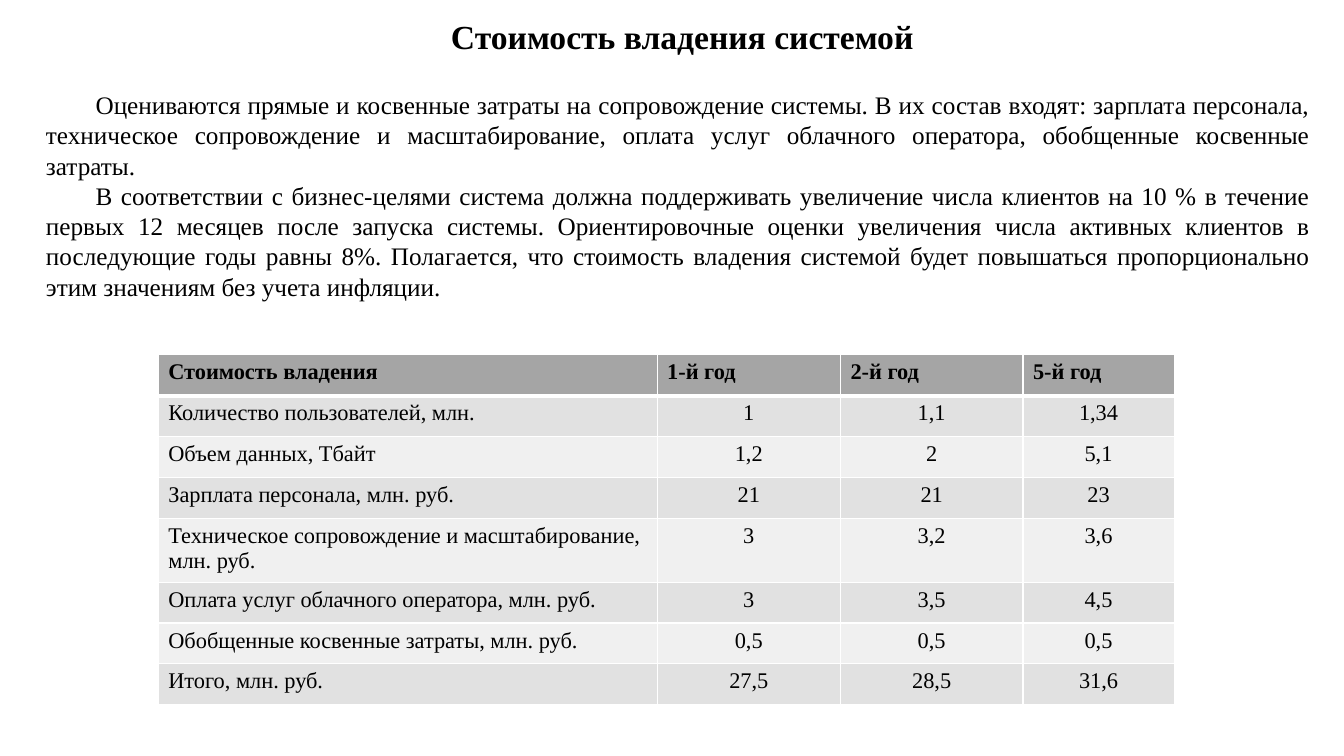
from dataclasses import dataclass
from typing import Any

from lxml.etree import SubElement
from pptx import Presentation
from pptx.dml.color import RGBColor
from pptx.enum.text import MSO_AUTO_SIZE, PP_ALIGN
from pptx.oxml.ns import qn
from pptx.util import Cm, Pt


@dataclass(frozen=True)
class Theme:
    """Colours, font and type sizes of the slide."""
    face: str = "Times New Roman"
    ink: str = "000000"
    line: str = "FFFFFF"
    head: str = "A5A5A5"
    bands: tuple[str, str] = ("E1E1E1", "F0F0F0")
    title: int = 24
    body: int = 18
    cell: int = 16


@dataclass(frozen=True)
class Box:
    """A text box, measured in centimetres."""
    left: float
    top: float
    width: float
    height: float
    paras: tuple[str, ...]
    size: int
    align: PP_ALIGN
    bold: bool = False
    wrap: bool = True
    indent: float = 0


@dataclass(frozen=True)
class Grid:
    """A table, measured in centimetres."""
    left: float
    top: float
    cols: tuple[float, ...]
    height: float
    rows: tuple[tuple[str, ...], ...]


THEME = Theme()
BOXES = (
    Box(11.05, 0.28, 12.29, 1.27, ("Стоимость владения системой",),
        THEME.title, PP_ALIGN.CENTER, bold=True, wrap=False),
    Box(0.91, 2.13, 32.36, 5.64, (
        "Оцениваются прямые и косвенные затраты на сопровождение системы. "
        "В их состав входят: зарплата персонала, техническое сопровождение "
        "и масштабирование, оплата услуг облачного оператора, обобщенные "
        "косвенные затраты.",
        "В соответствии с бизнес-целями система должна поддерживать "
        "увеличение числа клиентов на 10 % в течение первых 12 месяцев после "
        "запуска системы. Ориентировочные оценки увеличения числа активных "
        "клиентов в последующие годы равны 8%. Полагается, что стоимость "
        "владения системой будет повышаться пропорционально этим значениям "
        "без учета инфляции.",
    ), THEME.body, PP_ALIGN.JUSTIFY, indent=1.25),
)
COSTS = Grid(3.99, 8.94, (12.57, 4.62, 4.6, 3.81), 1.03, (
    ("Стоимость владения", "1-й год", "2-й год", "5-й год"),
    ("Количество пользователей, млн.", "1", "1,1", "1,34"),
    ("Объем данных, Тбайт", "1,2", "2", "5,1"),
    ("Зарплата персонала, млн. руб.", "21", "21", "23"),
    ("Техническое сопровождение и масштабирование, млн. руб.",
     "3", "3,2", "3,6"),
    ("Оплата услуг облачного оператора, млн. руб.", "3", "3,5", "4,5"),
    ("Обобщенные косвенные затраты, млн. руб.", "0,5", "0,5", "0,5"),
    ("Итого, млн. руб.", "27,5", "28,5", "31,6"),
))


def apply(item: Any, form: dict[str, Any]) -> None:
    """Set each attribute named in a dict of format values."""
    for name, value in form.items():
        setattr(item, name, value)


def write(para: Any, text: str, size: int, bold: bool, align: PP_ALIGN) -> None:
    """Put one styled run into a paragraph."""
    para.alignment = align
    run = para.add_run()
    run.text = text
    apply(run.font, {"name": THEME.face, "size": Pt(size), "bold": bold})
    run.font.color.rgb = RGBColor.from_string(THEME.ink)


def draw_box(slide: Any, box: Box) -> None:
    """Draw a text box with its paragraphs."""
    spots = map(Cm, (box.left, box.top, box.width, box.height))
    frame = slide.shapes.add_textbox(*spots).text_frame
    apply(frame, {"word_wrap": box.wrap,
                  "auto_size": MSO_AUTO_SIZE.SHAPE_TO_FIT_TEXT})
    for num, text in enumerate(box.paras):
        para = frame.add_paragraph() if num else frame.paragraphs[0]
        write(para, text, box.size, box.bold, box.align)
        if box.indent:
            para._p.get_or_add_pPr().set("indent", str(Cm(box.indent)))


def edge(cell: Any, sides: dict[str, int]) -> None:
    """Add cell borders with widths in points."""
    props = cell._tc.get_or_add_tcPr()
    for side, width in sides.items():
        line = SubElement(props, qn(f"a:ln{side}"), w=str(Pt(width)))
        fill = SubElement(line, qn("a:solidFill"))
        SubElement(fill, qn("a:srgbClr"), val=THEME.line)


def draw_grid(slide: Any, grid: Grid) -> None:
    """Draw the table with its header and banded rows."""
    count = len(grid.rows)
    table = slide.shapes.add_table(
        count, len(grid.cols), Cm(grid.left), Cm(grid.top),
        Cm(sum(grid.cols)), Cm(grid.height * count)).table
    apply(table, {"first_row": False, "horz_banding": False})
    for col, width in zip(table.columns, grid.cols):
        col.width = Cm(width)
    for r, texts in enumerate(grid.rows):
        table.rows[r].height = Cm(grid.height)
        head = r == 0
        tone = THEME.head if head else THEME.bands[(r - 1) % 2]
        for c, text in enumerate(texts):
            cell = table.cell(r, c)
            align = PP_ALIGN.LEFT if head or c == 0 else PP_ALIGN.CENTER
            write(cell.text_frame.paragraphs[0], text, THEME.cell, head, align)
            edge(cell, {"L": 1, "R": 1, "T": 3 if r == 1 else 1,
                        "B": 3 if head else 1})
            cell.fill.solid()
            cell.fill.fore_color.rgb = RGBColor.from_string(tone)


def main() -> None:
    """Build and save the slide."""
    deck = Presentation()
    apply(deck, {"slide_width": Cm(33.87), "slide_height": Cm(19.05)})
    slide = deck.slides.add_slide(deck.slide_layouts[6])
    for box in BOXES:
        draw_box(slide, box)
    draw_grid(slide, COSTS)
    deck.save("out.pptx")


if __name__ == "__main__":
    main()
